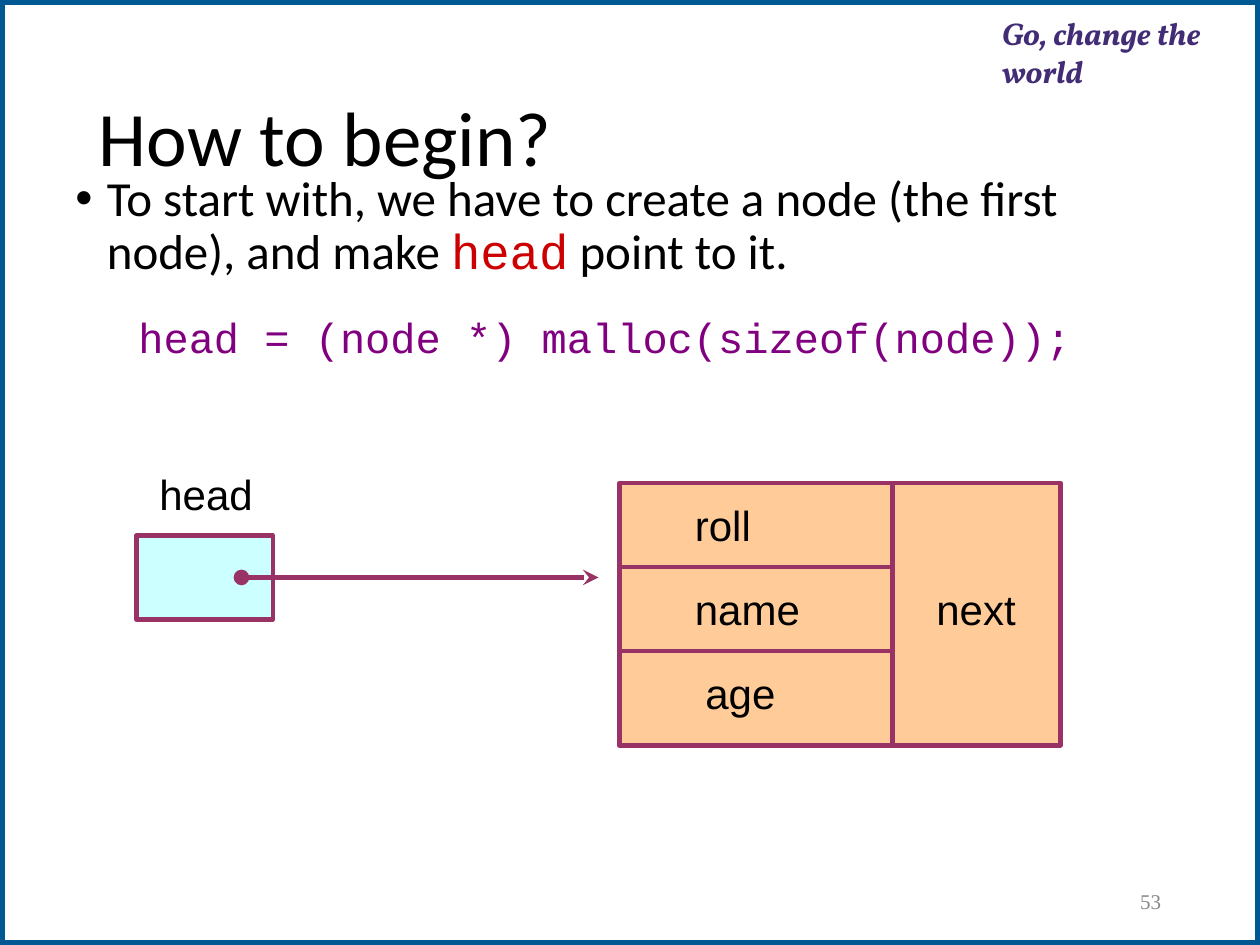
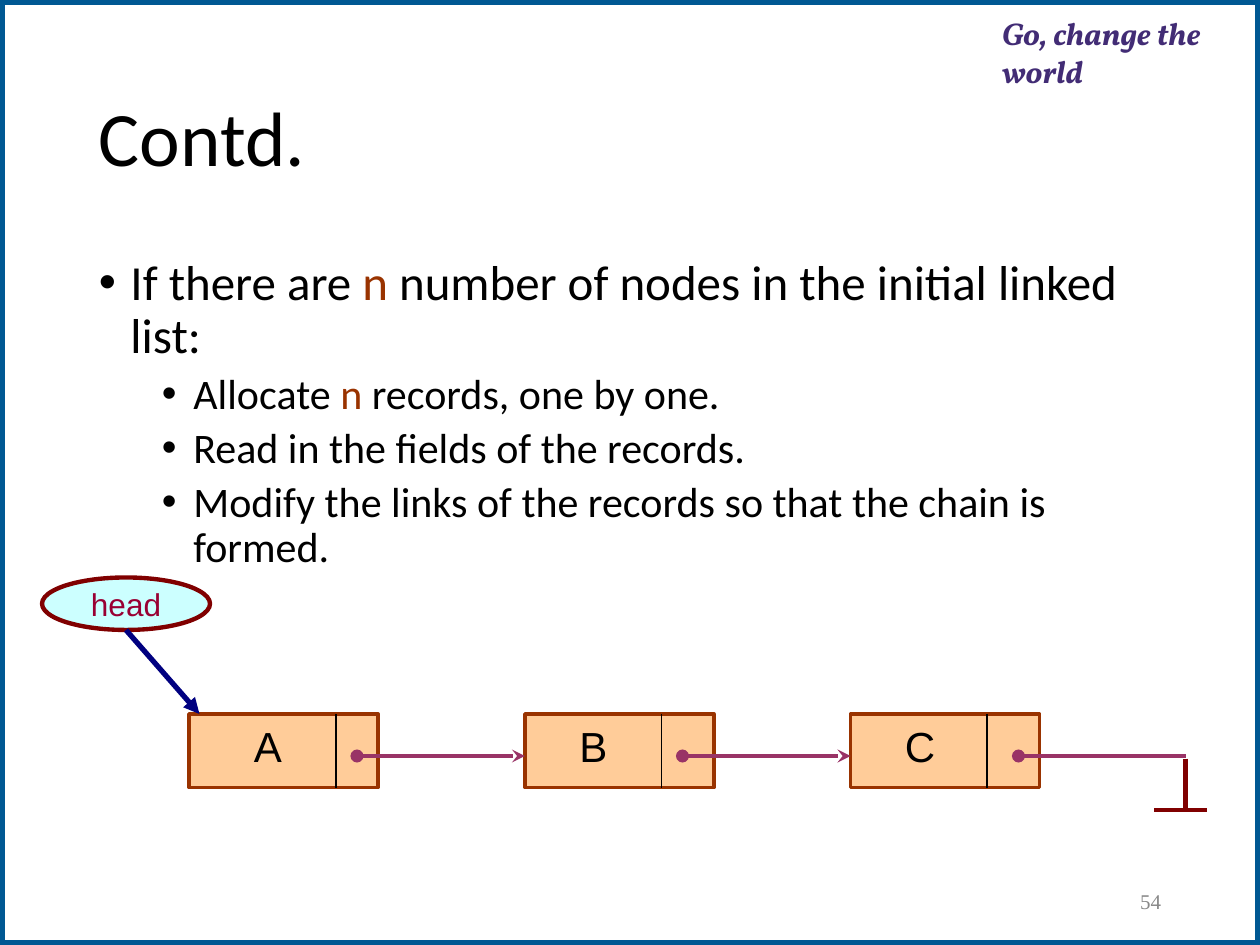
from lxml import etree
from pptx import Presentation
from pptx import util as u
from pptx.dml.color import RGBColor
from pptx.enum import shapes, text
from pptx.oxml.ns import qn

COLORS = {
    "white": "FFFFFF", "black": "000000", "frame": "005893", "tagline": "422C75",
    "number": "898989", "orange": "FFCC99", "cyan": "CCFFFF", "plum": "993366",
    "brown": "993300", "maroon": "800000", "navy": "000080", "red": "CC0000",
    "purple": "800080", "wine": "990033",
}
RECTANGLE = shapes.MSO_SHAPE.RECTANGLE
OVAL = shapes.MSO_SHAPE.OVAL


def write(shape, *runs, size=24, font="Arial", color="black", bold=None, italic=None,
          align=None, anchor=text.MSO_ANCHOR.TOP, spacing=None, before=0,
          margin=0, indent=0, bullet=False):
    frame = shape.text_frame
    frame.word_wrap = True
    frame.vertical_anchor = anchor
    paragraph = frame.add_paragraph() if frame.text else frame.paragraphs[0]
    paragraph.alignment = align
    paragraph.line_spacing = spacing
    paragraph.space_before = u.Pt(before)
    properties = paragraph._p.get_or_add_pPr()
    properties.set("marL", str(u.Pt(margin)))
    properties.set("indent", str(u.Pt(indent)))
    if bullet:
        bullet_font = etree.SubElement(properties, qn("a:buFont"))
        bullet_font.set("typeface", "Arial")
        etree.SubElement(properties, qn("a:buChar")).set("char", "•")
    for item in runs:
        words, run_color, run_font = item if isinstance(item, tuple) else (item, color, font)
        run = paragraph.add_run()
        run.text = words
        run.font.size = u.Pt(size)
        run.font.name = run_font
        run.font.bold = bold
        run.font.italic = italic
        run.font.color.rgb = RGBColor.from_string(COLORS[run_color])


def connect(slide, start_x, start_y, end_x, end_y, color="plum", width=2.5, head=None, tail=None):
    line = slide.shapes.add_connector(
        shapes.MSO_CONNECTOR.STRAIGHT, *map(u.Pt, (start_x, start_y, end_x, end_y)))
    line.line.color.rgb = RGBColor.from_string(COLORS[color])
    line.line.width = u.Pt(width)
    outline = line.line._get_or_add_ln()
    for tag, kind in (("a:headEnd", head), ("a:tailEnd", tail)):
        if kind:
            etree.SubElement(outline, qn(tag)).set("type", kind)
    etree.SubElement(line._element.spPr, qn("a:effectLst"))


presentation = Presentation()
presentation.slide_width = u.Pt(720)
presentation.slide_height = u.Pt(540)

nodes = [("A", 108, 192, 204, 300), ("B", 300, 378, 390, 486), ("C", 486, 564, 582, 678)]
border = (RECTANGLE, (0, 0, 720, 540), "white", "frame", 6, None)
begin_boxes = [
    border,
    (RECTANGLE, (354, 276, 252, 150), "orange", "plum", 2.5, None),
    (RECTANGLE, (78, 306, 78, 48), "cyan", "plum", 2.5, None),
]
chain_boxes = [border]
for letter, left, divider, link_start, link_end in nodes:
    chain_boxes.append((RECTANGLE, (left, 408, 108, 42), "orange", "brown", 2, None))
chain_boxes.append((OVAL, (24, 330, 96, 30), "cyan", "maroon", 2.5, "head"))

slides = []
bodies = []
for number, title, boxes, body_area in (
    ("53", "How to begin?", begin_boxes, (36, 96, 648, 372)),
    ("54", "Contd.", chain_boxes, (49.5, 144, 621, 342.5)),
):
    slide = presentation.slides.add_slide(presentation.slide_layouts[6])
    for kind, area, fill, outline, width, label in boxes:
        shape = slide.shapes.add_shape(kind, *map(u.Pt, area))
        shape.shadow.inherit = False
        shape.fill.solid()
        shape.fill.fore_color.rgb = RGBColor.from_string(COLORS[fill])
        shape.line.color.rgb = RGBColor.from_string(COLORS[outline])
        shape.line.width = u.Pt(width)
        if label:
            write(shape, label, size=18, color="wine", align=text.PP_ALIGN.CENTER,
                  anchor=text.MSO_ANCHOR.MIDDLE)

    tagline = slide.shapes.add_textbox(*map(u.Pt, (571.5, 7.2, 147.5, 44.5)))
    tagline.text_frame.margin_left = tagline.text_frame.margin_right = 0
    tagline.text_frame.margin_top = u.Pt(0.75)
    tagline.text_frame.margin_bottom = 0
    write(tagline, "Go, change the world", size=18, font="Vollkorn", color="tagline",
          bold=True, italic=True, margin=1)

    heading = slide.shapes.add_textbox(*map(u.Pt, (49.5, 28.75, 621, 104.5)))
    write(heading, title, size=44, font="Calibri", spacing=0.9, anchor=text.MSO_ANCHOR.MIDDLE)

    page = slide.shapes.add_textbox(*map(u.Pt, (508.5, 500.5, 162, 28.75)))
    write(page, number, size=12, font="Times New Roman", color="number",
          align=text.PP_ALIGN.RIGHT, anchor=text.MSO_ANCHOR.MIDDLE)

    bodies.append(slide.shapes.add_textbox(*map(u.Pt, body_area)))
    slides.append(slide)

begin_slide, chain_slide = slides
begin_body, chain_body = bodies
top_level = dict(size=28, font="Calibri", spacing=0.9, margin=18, indent=-18, bullet=True)
sub_level = dict(size=24, font="Calibri", spacing=0.9, before=5, margin=54, indent=-18, bullet=True)

write(begin_body, "To start with, we have to create a node (the first node), and make ",
      ("head", "red", "Courier New"), " point to it.", **top_level)
write(begin_body, "head = (node *) malloc(sizeof(node));", font="Courier New", color="purple",
      spacing=0.9, before=21, margin=54, indent=-18)

connect(begin_slide, 510, 276, 510, 426)
for row in (1, 2):
    connect(begin_slide, 354, 276 + 48 * row, 510, 276 + 48 * row)
connect(begin_slide, 138, 330, 342, 330, width=3, head="oval", tail="stealth")
for field, left, top in (
    ("head", 84, 264), ("roll", 390, 282), ("name", 390, 330), ("age", 396, 378), ("next", 528, 330),
):
    write(begin_slide.shapes.add_textbox(*map(u.Pt, (left, top, 120, 36))), field)

n = ("n", "brown", "Calibri")
write(chain_body, "If there are ", n, " number of nodes in the initial linked list:", **top_level)
for runs in (
    ("Allocate ", n, " records, one by one."),
    ("Read in the fields of the records.",),
    ("Modify the links of the records so that the chain is formed.",),
):
    write(chain_body, *runs, **sub_level)

for letter, left, divider, link_start, link_end in nodes:
    connect(chain_slide, link_start, 432, link_end, 432, head="oval",
            tail=None if letter == "C" else "stealth")
    connect(chain_slide, divider, 408, divider, 450, color="black", width=0.75)
    write(chain_slide.shapes.add_textbox(*map(u.Pt, (divider - 54, 408, 48, 36))), letter)

connect(chain_slide, 677.5, 433.5, 677.5, 463, color="maroon")
connect(chain_slide, 659.5, 463, 690, 463, color="maroon")
connect(chain_slide, 72, 360, 114, 408, color="navy", width=3, tail="triangle")

presentation.save("out.pptx")
